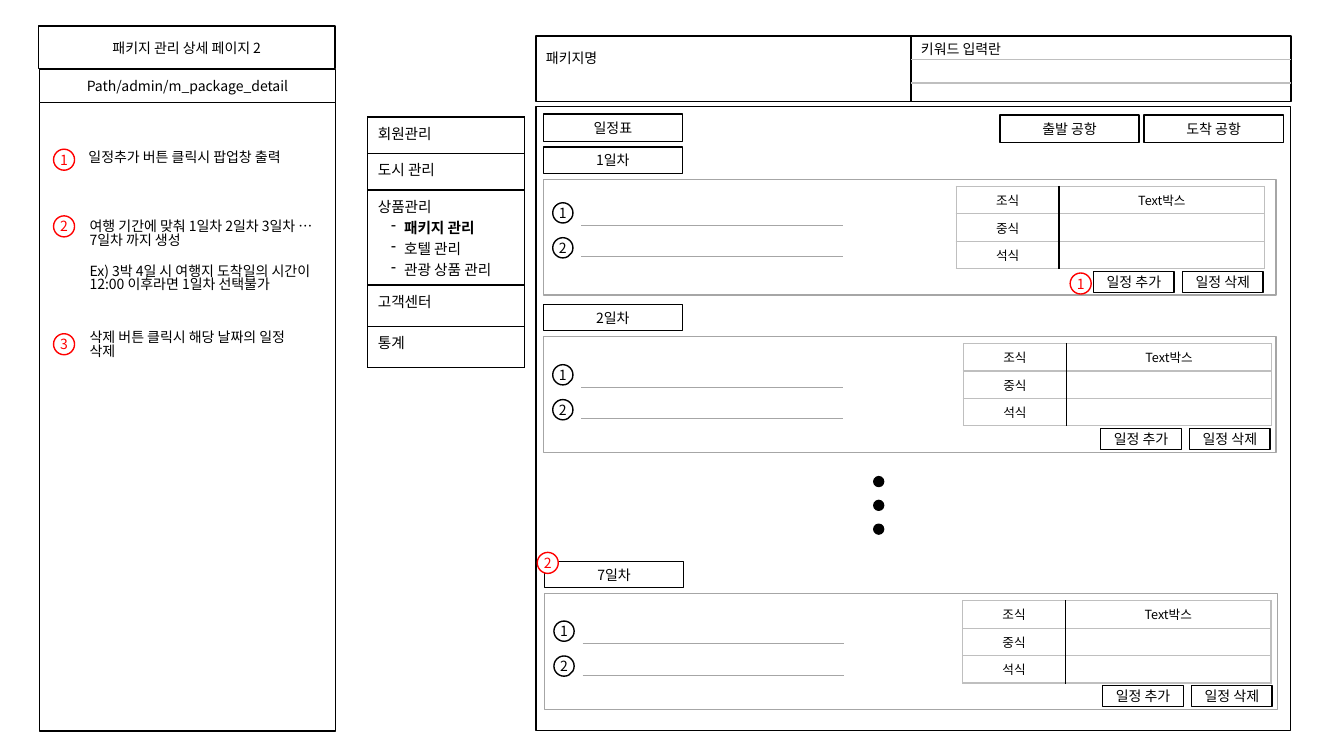
from lxml import etree
from pptx import Presentation
from pptx.dml.color import RGBColor
from pptx.enum.shapes import MSO_CONNECTOR, MSO_SHAPE
from pptx.enum.text import MSO_ANCHOR, MSO_AUTO_SIZE, PP_ALIGN
from pptx.oxml.ns import qn
from pptx.util import Cm, Pt

FONT = "Noto Sans CJK KR"
COLOURS = {"black": "000000", "white": "FFFFFF", "red": "FF0000",
           "grey": "A6A6A6", "pale": "BFBFBF"}
RECTANGLE, OVAL = MSO_SHAPE.RECTANGLE, MSO_SHAPE.OVAL
STRAIGHT = MSO_CONNECTOR.STRAIGHT
LEFT, CENTRE = PP_ALIGN.LEFT, PP_ALIGN.CENTER
TOP, MIDDLE = MSO_ANCHOR.TOP, MSO_ANCHOR.MIDDLE
NO_AUTOFIT = MSO_AUTO_SIZE.NONE
MENU = [(0.92, ["회원관리"]), (0.92, ["도시 관리"]),
        (2.38, ["상품관리", "패키지 관리", "호텔 관리", "관광 상품 관리"]),
        (1.04, ["고객센터"]), (1.04, ["통계"])]
CURRENT_PAGE = "패키지 관리"


def rgb(name):
    return RGBColor.from_string(COLOURS[name])


def style_paragraph(paragraph, align, size=10, colour="black"):
    paragraph.alignment = align
    font = paragraph.font
    font.size = Pt(size)
    font.name = FONT
    font.color.rgb = rgb(colour)
    defaults = paragraph._p.pPr.find(qn("a:defRPr"))
    etree.SubElement(defaults, qn("a:ea")).set("typeface", FONT)


def set_margins(holder, side, top):
    holder.margin_left = holder.margin_right = Cm(side)
    holder.margin_top = holder.margin_bottom = Cm(top)


def write(box, lines, align=CENTRE, anchor=MIDDLE, colour="black",
          side=0.25, top=0.13, wrap=True):
    frame = box.text_frame
    frame.text = "\n".join(lines)
    frame.auto_size = NO_AUTOFIT
    frame.word_wrap = wrap
    frame.vertical_anchor = anchor
    set_margins(frame, side, top)
    for paragraph in frame.paragraphs:
        style_paragraph(paragraph, align, colour=colour)


def paint(box, line, fill="white"):
    box.fill.solid()
    box.fill.fore_color.rgb = rgb(fill)
    if line:
        box.line.color.rgb = rgb(line)
        box.line.width = Pt(1)
    else:
        box.line.fill.background()


def add_box(page, left, top, width, height, line="black", fill="white", kind=RECTANGLE):
    box = page.shapes.add_shape(kind, Cm(left), Cm(top), Cm(width), Cm(height))
    box.shadow.inherit = False
    paint(box, line, fill)
    return box


def add_label(page, text, left, top, width, height):
    write(add_box(page, left, top, width, height), [text], side=0, top=0)


def add_number(page, number, left, top, size=0.51, colour="black"):
    circle = add_box(page, left, top, size, size, colour, kind=OVAL)
    write(circle, [str(number)], colour=colour, side=0, top=0, wrap=False)


def add_marker(page, number, left, top):
    add_number(page, number, left, top, 0.53, "red")


def add_note(page, lines, left, top, width, height):
    box = add_box(page, left, top, width, height, line=None)
    write(box, lines, LEFT)
    for index, paragraph in enumerate(box.text_frame.paragraphs):
        paragraph.line_spacing = 0.82
        if index:
            paragraph.space_before = Pt(12)


def add_rule(page, left, top, length):
    rule = page.shapes.add_connector(STRAIGHT, Cm(left), Cm(top), Cm(left + length), Cm(top))
    rule.line.color.rgb = rgb("grey")
    rule.line.width = Pt(0.5)
    etree.SubElement(rule._element.spPr, qn("a:effectLst"))


def set_borders(cell, **colours):
    """Draw the named sides (L, R, T, B) and clear the others."""
    properties = cell._tc.get_or_add_tcPr()
    for side in "LRTB":
        border = etree.SubElement(properties, qn(f"a:ln{side}"), w=str(Pt(1)))
        if side in colours:
            fill = etree.SubElement(border, qn("a:solidFill"))
            etree.SubElement(fill, qn("a:srgbClr"), val=COLOURS[colours[side]])
        else:
            etree.SubElement(border, qn("a:noFill"))


def add_grid(page, left, top, widths, heights):
    frame = page.shapes.add_table(len(heights), len(widths), Cm(left), Cm(top),
                                  Cm(sum(widths)), Cm(sum(heights)))
    table = frame.table
    table.first_row = table.horz_banding = False
    for column, width in zip(table.columns, widths):
        column.width = Cm(width)
    for row, height in zip(table.rows, heights):
        row.height = Cm(height)
    return table


def add_keyword_rows(page):
    table = add_grid(page, 22.96, 0.89, [9.58], [0.6, 0.6, 0.45])
    for cell, sides in zip(table.iter_cells(), ("B", "TB", "T")):
        set_borders(cell, **{side: "pale" for side in sides})
        cell.fill.background()
        set_margins(cell, 0, 0)
        style_paragraph(cell.text_frame.paragraphs[0], LEFT, 8)


def add_meal(page, texts, left, top):
    table = add_grid(page, left, top, [2.59, 5.18], [0.69])
    sides = ({"L": "pale", "R": "black"}, {"L": "black", "R": "pale"})
    for cell, text, uprights in zip(table.iter_cells(), texts, sides):
        set_borders(cell, T="pale", B="pale", **uprights)
        cell.fill.background()
        cell.text = text
        cell.vertical_anchor = MIDDLE
        set_margins(cell, 0.25, 0.05)
        style_paragraph(cell.text_frame.paragraphs[0], CENTRE, 9)


def add_dash(paragraph):
    properties = paragraph._p.get_or_add_pPr()
    properties.set("marL", str(Cm(0.66)))
    properties.set("indent", str(Cm(-0.33)))
    etree.SubElement(properties, qn("a:buChar"), char="-")


def add_menu(page):
    table = add_grid(page, 9.27, 2.95, [3.94], [height for height, _ in MENU])
    for cell, (_, lines) in zip(table.iter_cells(), MENU):
        set_borders(cell, L="black", R="black", T="black", B="black")
        cell.fill.background()
        cell.text = "\n".join(lines)
        for index, paragraph in enumerate(cell.text_frame.paragraphs):
            if index:
                add_dash(paragraph)
            style_paragraph(paragraph, LEFT, 10.5)
            paragraph.font.bold = paragraph.text == CURRENT_PAGE


def add_day(page, name, left, top, agenda_top, meals_left, buttons_left):
    add_label(page, name, left, top, 3.51, 0.66)
    card_top = top + 0.81
    add_box(page, left, card_top, 18.47, 2.92, "grey")
    for index in range(2):
        add_number(page, index + 1, left + 0.24, agenda_top + 0.88 * index)
        add_rule(page, left + 0.96, agenda_top + 0.56 + 0.8 * index, 6.6)
    meals = (("조식", "Text박스"), ("중식", ""), ("석식", ""))
    for index, texts in enumerate(meals):
        add_meal(page, texts, meals_left, card_top + 0.18 + 0.69 * index)
    for index, text in enumerate(("일정 추가", "일정 삭제")):
        add_label(page, text, buttons_left + 2.24 * index, card_top + 2.32, 2.03, 0.53)


def add_description(page):
    title = page.shapes.title
    title.left, title.top, title.width, title.height = Cm(0.97), Cm(0.66), Cm(7.47), Cm(1.07)
    paint(title, "black")
    write(title, ["패키지 관리 상세 페이지 2"])
    add_box(page, 0.99, 2.57, 7.47, 15.85)
    add_label(page, "Path/admin/m_package_detail", 0.99, 1.75, 7.47, 0.84)
    add_note(page, ["일정추가 버튼 클릭시 팝업창 출력"], 1.98, 3.35, 6.15, 1.3)
    add_note(page, ["여행 기간에 맞춰 1일차 2일차 3일차 … 7일차 까지 생성",
                    "Ex) 3박 4일 시 여행지 도착일의 시간이 12:00 이후라면 1일차 선택불가"],
             2.01, 5.11, 6.35, 2.72)
    add_note(page, ["삭제 버튼 클릭시 해당 날짜의 일정 삭제"], 2.01, 8.05, 6.12, 1.3)
    for number, top in enumerate((3.76, 5.44, 8.41), 1):
        add_marker(page, number, 1.35, top)


def add_header(page):
    write(add_box(page, 13.51, 0.91, 19.02, 1.65), ["패키지명"], LEFT, TOP, top=0.35)
    write(add_box(page, 22.96, 0.91, 9.58, 1.65), ["키워드 입력란"], LEFT, TOP, top=0.1)
    add_keyword_rows(page)


def add_schedule(page):
    add_box(page, 13.51, 2.69, 19.02, 15.72)
    add_label(page, "일정표", 13.69, 2.87, 3.51, 0.69)
    add_label(page, "출발 공항", 25.2, 2.9, 3.51, 0.69)
    add_label(page, "도착 공항", 28.83, 2.9, 3.51, 0.69)
    add_day(page, "1일차", 13.69, 3.71, 5.11, 24.1, 27.56)
    add_day(page, "2일차", 13.69, 7.67, 9.19, 24.28, 27.74)
    add_day(page, "7일차", 13.72, 14.15, 15.65, 24.26, 27.79)
    for index in range(3):
        add_box(page, 22.02, 12.01 + 0.6 * index, 0.25, 0.25, fill="black", kind=OVAL)
    add_marker(page, 1, 26.97, 6.88)
    add_marker(page, 2, 13.54, 13.92)


def main():
    deck = Presentation()
    deck.slide_width, deck.slide_height = Cm(33.87), Cm(19.05)
    page = deck.slides.add_slide(deck.slide_layouts[5])
    add_description(page)
    add_header(page)
    add_schedule(page)
    add_menu(page)
    deck.save("out.pptx")


if __name__ == "__main__":
    main()
